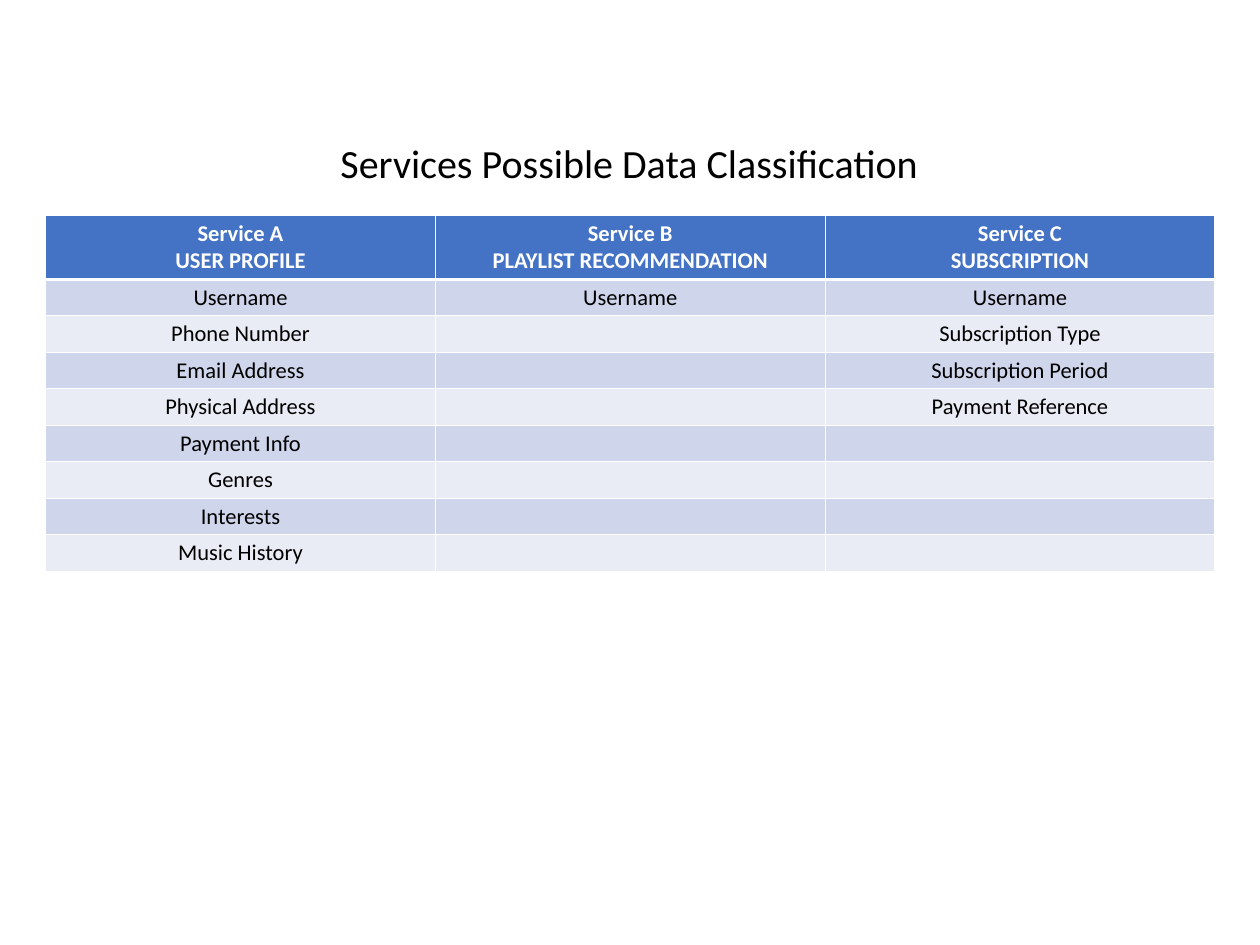
import dataclasses
import itertools

import lxml.etree
import pptx
import pptx.dml.color
import pptx.enum.text
import pptx.oxml.ns
import pptx.util

Pt = pptx.util.Pt


@dataclasses.dataclass(frozen=True)
class Theme:
    """Colours, font and type sizes."""
    font: str = "Calibri"
    title: int = 32
    body: int = 18
    ink: str = "000000"
    white: str = "FFFFFF"
    head: str = "4472C4"
    bands: tuple = ("CFD5EA", "E9EBF5")
    thin: int = 1
    thick: int = 3


class Deck:
    """Holds the style and the current slide."""

    def __init__(self, theme, wide, high):
        """Open a deck with one blank slide."""
        self.theme = theme
        self.file = pptx.Presentation()
        self.file.slide_width, self.file.slide_height = Pt(wide), Pt(high)
        self.slide = self.file.slides.add_slide(self.file.slide_layouts[6])

    def label(self, frame, text, size, color, bold=False):
        """Fill a text frame with centred lines."""
        frame.text = text
        for para in frame.paragraphs:
            para.alignment = pptx.enum.text.PP_ALIGN.CENTER
            font = para.font
            font.name, font.size, font.bold = self.theme.font, Pt(size), bold
            font.color.rgb = pptx.dml.color.RGBColor.from_string(color)

    def title(self, text, left, top, wide, high):
        """Add the title on one line."""
        box = self.slide.shapes.add_textbox(Pt(left), Pt(top), Pt(wide), Pt(high))
        box.text_frame.word_wrap = False
        box.text_frame.auto_size = pptx.enum.text.MSO_AUTO_SIZE.SHAPE_TO_FIT_TEXT
        self.label(box.text_frame, text, self.theme.title, self.theme.ink)

    def edge(self, cell, top, low):
        """Draw the four borders of a cell."""
        qn = pptx.oxml.ns.qn
        props = cell._tc.get_or_add_tcPr()
        thin = self.theme.thin
        sides = (("L", thin), ("R", thin), ("T", top), ("B", low))
        for spot, (side, width) in enumerate(sides):
            line = lxml.etree.Element(qn(f"a:ln{side}"), w=str(Pt(width)))
            fill = lxml.etree.SubElement(line, qn("a:solidFill"))
            lxml.etree.SubElement(fill, qn("a:srgbClr"), val=self.theme.white)
            props.insert(spot, line)

    def table(self, heads, lists, left, top, wide, tall, high):
        """Add a banded table with one list per column."""
        look = self.theme
        rows = [heads, *itertools.zip_longest(*lists, fillvalue="")]
        full = tall + high * (len(rows) - 1)
        grid = self.slide.shapes.add_table(
            len(rows), len(heads), Pt(left), Pt(top), Pt(wide), Pt(full)).table
        for col in grid.columns:
            col.width = Pt(wide / len(heads))
        for num, row in enumerate(rows):
            head = num == 0
            grid.rows[num].height = Pt(tall if head else high)
            fill = look.head if head else look.bands[(num - 1) % 2]
            color = look.white if head else look.ink
            for col, text in enumerate(row):
                cell = grid.cell(num, col)
                cell.fill.solid()
                cell.fill.fore_color.rgb = pptx.dml.color.RGBColor.from_string(fill)
                self.label(cell.text_frame, text, look.body, color, head)
                self.edge(cell, look.thick if num == 1 else look.thin,
                          look.thick if head else look.thin)


def main():
    """Build and save the slide."""
    deck = Deck(Theme(), 1008, 756)
    heads = ("Service A\nUSER PROFILE",
             "Service B\nPLAYLIST RECOMMENDATION",
             "Service C\nSUBSCRIPTION")
    lists = (
        ("Username", "Phone Number", "Email Address", "Physical Address",
         "Payment Info", "Genres", "Interests", "Music History"),
        ("Username",),
        ("Username", "Subscription Type", "Subscription Period",
         "Payment Reference"),
    )
    deck.table(heads, lists, left=36.5, top=172.3, wide=935.4, tall=50.4, high=29.2)
    deck.title("Services Possible Data Classification", 262.8, 107.3, 481.7, 46.1)
    deck.file.save("out.pptx")


main()
